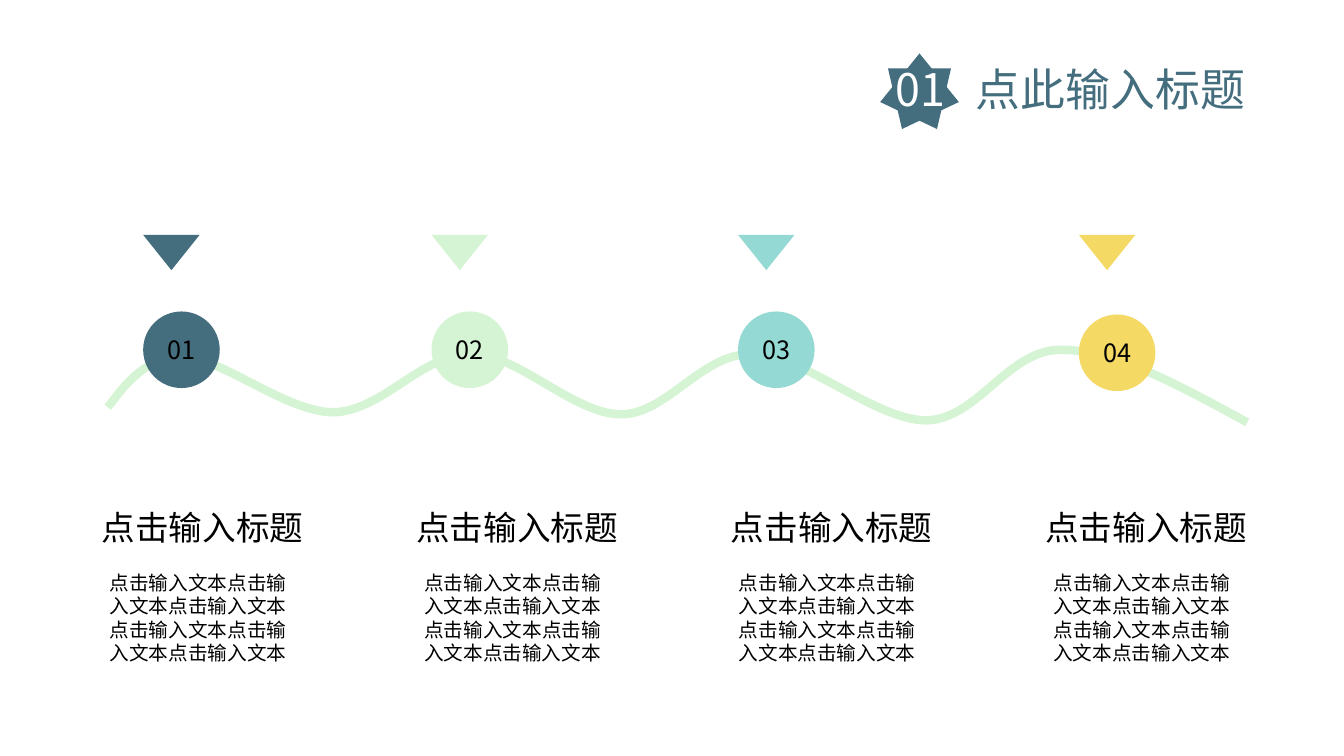
"""Build a four-step wave timeline slide."""
from pptx import Presentation
from pptx.dml.color import RGBColor
from pptx.enum.shapes import MSO_SHAPE as Shape
from pptx.enum.text import MSO_ANCHOR as Anchor, PP_ALIGN as Align
from pptx.oxml.ns import qn
from pptx.util import Inches, Pt
from lxml.etree import SubElement

FONT = "Noto Sans CJK SC"
NAVY, GREEN, BLACK, WHITE = "446E7E", "D5F4D3", "000000", "FFFFFF"
SECTION = [("01\t", WHITE), ("点此输入标题", NAVY)]
HEADING = "点击输入标题"
BODY = ["点击输入文本点击输入文本点击输入文本"] * 2
STEPS = [
    ("01", NAVY, 1.42, 3.09),
    ("02", GREEN, 4.28, 3.09),
    ("03", "94D9D4", 7.32, 3.09),
    ("04", "F4D964", 10.7, 3.12),
]
COLUMN_LEFT, COLUMN_STEP = 0.91, 3.12
UNITS = 100
WAVE_START = (1.07, 4.04)
WAVE = [
    ((1.26, 3.79), (1.45, 3.54), (1.82, 3.54)),
    ((2.2, 3.55), (2.84, 4.09), (3.31, 4.09)),
    ((3.79, 4.08), (4.19, 3.51), (4.67, 3.51)),
    ((5.14, 3.51), (5.69, 4.11), (6.16, 4.11)),
    ((6.62, 4.11), (6.96, 3.5), (7.47, 3.51)),
    ((7.97, 3.52), (8.68, 4.17), (9.19, 4.17)),
    ((9.7, 4.16), (10, 3.46), (10.53, 3.47)),
    ((11.06, 3.47), (11.71, 3.83), (12.37, 4.19)),
]


def color(value):
    return RGBColor.from_string(value)


def write(box, paragraphs, size, align=Align.LEFT, anchor=Anchor.TOP, tab=None):
    frame = box.text_frame
    frame.word_wrap = True
    frame.vertical_anchor = anchor
    frame.margin_left, frame.margin_right = Inches(0.1), 0 if tab else Inches(0.1)
    frame.margin_top = frame.margin_bottom = Inches(0.05)
    for index, spans in enumerate(paragraphs):
        para = frame.add_paragraph() if index else frame.paragraphs[0]
        if tab:
            stops = SubElement(para._p.get_or_add_pPr(), qn("a:tabLst"))
            SubElement(stops, qn("a:tab"), pos=str(Inches(tab)), algn="l")
        para.alignment = align
        para.line_spacing = Pt(size * 1.2)
        para.space_before = Pt(0)
        for text, tint in spans:
            span = para.add_run()
            span.text = text
            span.font.size = Pt(size)
            span.font.color.rgb = color(tint)
            span.font.name = FONT
            SubElement(span._r.get_or_add_rPr(), qn("a:ea"), typeface=FONT)


def add_shape(page, kind, left, top, width, height, fill):
    shape = page.shapes.add_shape(kind, *map(Inches, (left, top, width, height)))
    shape.shadow.inherit = False
    shape.fill.solid()
    shape.fill.fore_color.rgb = color(fill)
    shape.line.fill.background()
    return shape


def add_text(page, left, top, width, height, lines, size, align=Align.LEFT):
    box = page.shapes.add_textbox(*map(Inches, (left, top, width, height)))
    write(box, [[(line, BLACK)] for line in lines], size, align)


def to_units(point):
    return tuple(round(value * UNITS) for value in point)


def add_wave(page):
    ends = [to_units(curve[-1]) for curve in WAVE]
    start = to_units(WAVE_START)
    builder = page.shapes.build_freeform(*start, scale=Inches(1) / UNITS)
    builder.add_line_segments(ends, close=False)
    wave = builder.convert_to_shape()
    wave.shadow.inherit = False
    wave.fill.background()
    wave.line.color.rgb = color(GREEN)
    wave.line.width = Pt(6)
    left, top = map(min, zip(start, *ends))
    for segment, curve in zip(list(wave.element.iter(qn("a:lnTo"))), WAVE):
        bezier = SubElement(segment.getparent(), qn("a:cubicBezTo"))
        segment.getparent().replace(segment, bezier)
        for x, y in map(to_units, curve):
            SubElement(bezier, qn("a:pt"), x=str(x - left), y=str(y - top))


def add_title(page):
    title = page.shapes.title
    title.left, title.top, title.width, title.height = map(Inches, (8.78, 0.56, 3.68, 0.64))
    write(title, [SECTION], 32, tab=0.8)
    star = add_shape(page, Shape.STAR_7_POINT, 8.73, 0.53, 0.78, 0.75, NAVY)
    title.element.addprevious(star.element)


def main():
    deck = Presentation()
    deck.slide_width, deck.slide_height = Inches(13.33), Inches(7.5)
    page = deck.slides.add_slide(deck.slide_layouts[5])
    add_title(page)
    add_wave(page)
    for index, (number, fill, left, top) in enumerate(STEPS):
        circle = add_shape(page, Shape.OVAL, left, top, 0.76, 0.76, fill)
        write(circle, [[(number, BLACK)]], 18, Align.CENTER, Anchor.MIDDLE)
        column = COLUMN_LEFT + index * COLUMN_STEP
        add_text(page, column + 0.02, 5.61, 2.07, 1.28, BODY, 14, Align.CENTER)
        add_text(page, column, 4.98, 2.28, 0.5, [HEADING], 24)
        pointer = add_shape(page, Shape.ISOSCELES_TRIANGLE, left, 2.33, 0.56, 0.35, fill)
        pointer.rotation = 180
    deck.save("out.pptx")


if __name__ == "__main__":
    main()
